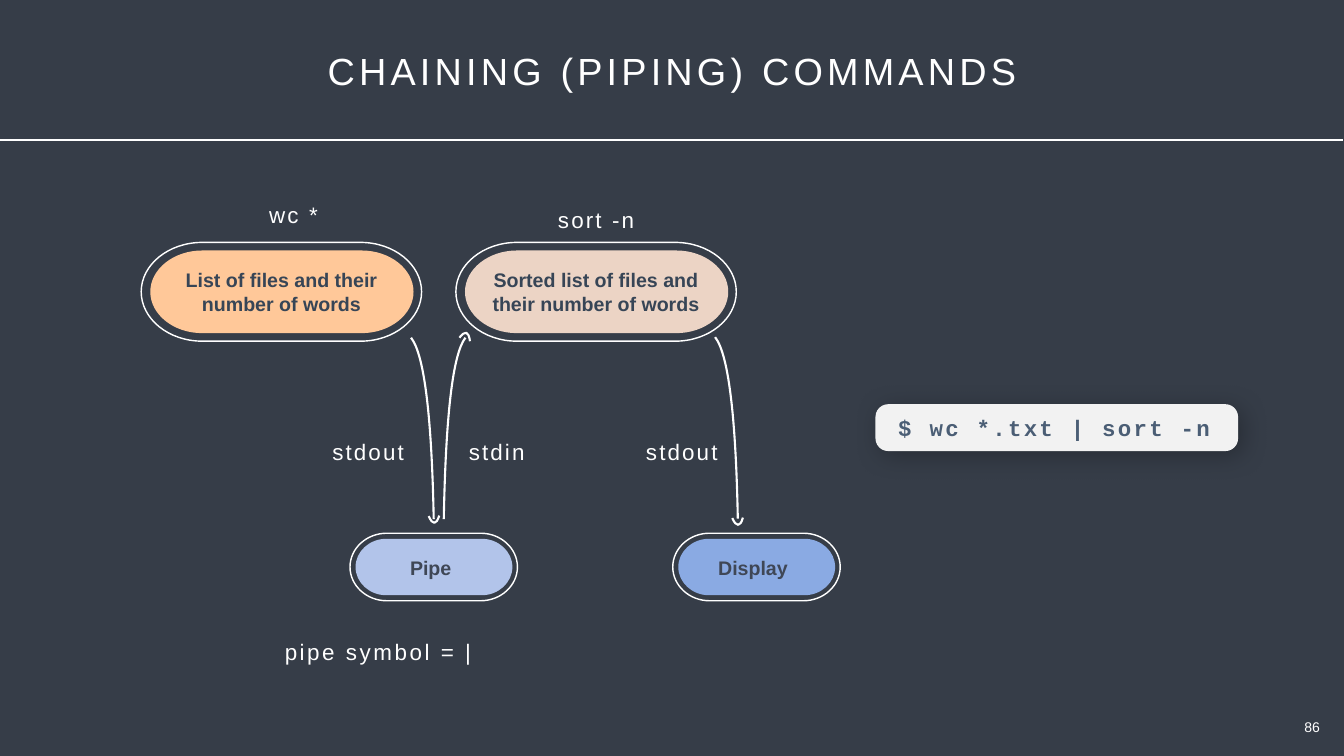
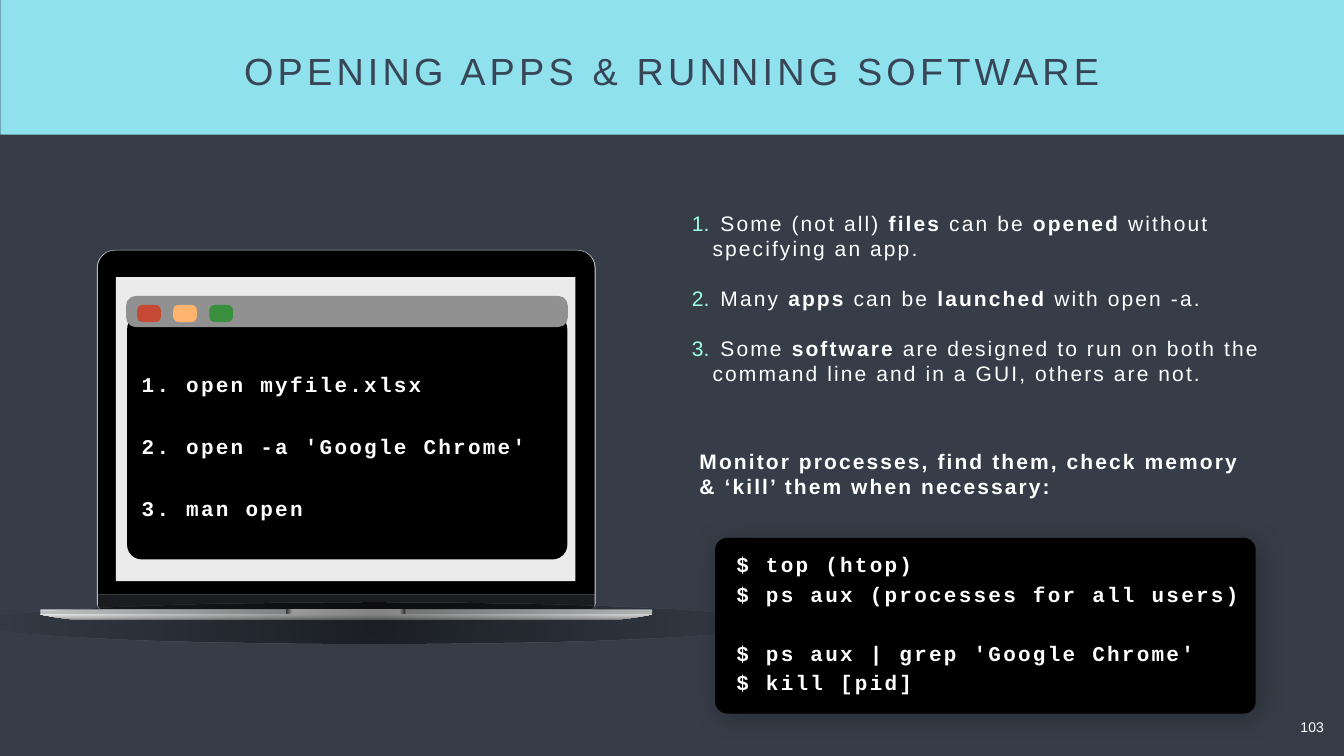
import pptx
import pptx.dml.color
import pptx.enum.shapes
import pptx.enum.text
import pptx.oxml
import pptx.oxml.ns
import pptx.util

Inches = pptx.util.Inches
Pt = pptx.util.Pt
SHAPE = pptx.enum.shapes.MSO_SHAPE
ALIGN = pptx.enum.text.PP_ALIGN
ANCHOR = pptx.enum.text.MSO_ANCHOR
qn = pptx.oxml.ns.qn
NAMESPACE = 'xmlns:a="http://schemas.openxmlformats.org/drawingml/2006/main"'

ARIAL, COURIER = "Arial", "Courier New"
BACKGROUND, WHITE, BLACK = "363D48", "FFFFFF", "000000"
NAVY, SLATE, CYAN, MINT, SILVER = "374556", "3F4756", "90E1EE", "9CFFE2", "D1D3D4"

TITLE_BOX = (1.54, 0.9, 23.58, 1)
NUMBER_BOX = (25.76, 14.16, 0.52, 0.53)

BIG_PILL = dict(outer=(0, 0, 5.56, 1.96, 1.21), inner=(0.18, 0.16, 5.22, 1.64, 1.03))
SMALL_PILL = dict(outer=(0, 0, 3.32, 1.34, 0.73), inner=(0.11, 0.11, 3.11, 1.12, 0.61))
PILLS = [
    (9.04, 4.81, BIG_PILL, "ECD4C5"),
    (2.8, 4.81, BIG_PILL, "FFC899"),
    (13.34, 10.58, SMALL_PILL, "8AAAE3"),
    (6.94, 10.58, SMALL_PILL, "B2C4EA"),
]
PILL_TEXTS = [
    ("List of files and their number of words", (3.43, 5.26, 4.3, 1.06), NAVY, ALIGN.CENTER),
    ("Sorted list of files and their number of words", (9.42, 5.26, 4.79, 1.06), NAVY, ALIGN.CENTER),
    ("Display", (14.18, 10.98, 1.78, 0.58), SLATE, ALIGN.LEFT),
    ("Pipe", (8.07, 10.98, 1.28, 0.58), SLATE, ALIGN.LEFT),
]
FLOW_LABELS = [
    ("wc *", (5.07, 3.9, 1.5, 0.66)),
    ("sort -n", (10.9, 4, 1.84, 0.66)),
    ("stdout", (6.43, 8.6, 1.74, 0.66)),
    ("stdin", (9, 8.6, 1.7, 0.66)),
    ("stdout", (12.65, 8.6, 1.74, 0.66)),
]
FLOW_CURVES = [
    [(8.15, 6.7), (8.41, 7.03), (8.56, 8.23), (8.6, 10.3)],
    [(8.5, 10.24), (8.58, 10.42), (8.65, 10.42), (8.71, 10.23)],
    [(9.23, 6.7), (8.98, 7.02), (8.84, 8.22), (8.8, 10.3)],
    [(9.32, 6.77), (9.29, 6.57), (9.23, 6.55), (9.11, 6.7)],
    [(14.18, 6.69), (14.44, 7.02), (14.59, 8.22), (14.63, 10.29)],
    [(14.52, 10.28), (14.6, 10.46), (14.68, 10.46), (14.73, 10.27)],
]

WINDOW_BUTTONS = ["C54935", "FFB46D", "398F3D"]
OPEN_COMMANDS = ["1. open myfile.xlsx", "2. open -a 'Google Chrome'", "3. man open"]
APP_NOTES = [
    (" Some (not all) ", "files", " can be ", "opened", " without specifying an app."),
    (" Many ", "apps", " can be ", "launched", " with open -a."),
    (" Some ", "software",
     " are designed to run on both the command line and in a GUI, others are not."),
]
MONITOR_NOTE = "Monitor processes, find them, check memory & ‘kill’ them when necessary:"
PROCESS_COMMANDS = [
    "$ top (htop)",
    "$ ps aux (processes for all users)",
    "$ ps aux | grep 'Google Chrome'",
    "$ kill [pid]",
]


def rgb(value):
    return pptx.dml.color.RGBColor.from_string(value)


def lengths(box):
    return [Inches(value) for value in box]


def paint(shape, fill=None, line=None, width=2):
    shape.shadow.inherit = False
    if fill:
        shape.fill.solid()
        shape.fill.fore_color.rgb = rgb(fill)
    else:
        shape.fill.background()
    if line:
        shape.line.color.rgb = rgb(line)
        shape.line.width = Pt(width)
    else:
        shape.line.fill.background()
    return shape


def add_block(parent, kind, box, fill, *adjustments):
    shape = parent.shapes.add_shape(kind, *lengths(box))
    for index, value in enumerate(adjustments):
        shape.adjustments[index] = value
    return paint(shape, fill)


def add_curve(parent, points, fill=None, line=None, width=2, close=False):
    corners = [tuple(lengths(point)) for point in points]
    builder = parent.shapes.build_freeform(*corners[0])
    builder.add_line_segments(corners[1:], close=close)
    shape = builder.convert_to_shape()
    segments = list(shape._element.iter(qn("a:lnTo")))
    for start in range(0, len(segments), 3):
        cubic = pptx.oxml.parse_xml(f"<a:cubicBezTo {NAMESPACE}/>")
        segments[start].addprevious(cubic)
        for segment in segments[start:start + 3]:
            cubic.append(segment[0])
            segment.getparent().remove(segment)
    return paint(shape, fill, line, width)


def set_gradient(shape, stops, direction):
    marks = "".join(
        f'<a:gs pos="{place * 1000}"><a:srgbClr val="{color}">'
        f'<a:alpha val="{alpha * 1000}"/></a:srgbClr></a:gs>'
        for place, color, alpha in stops)
    gradient = pptx.oxml.parse_xml(
        f"<a:gradFill {NAMESPACE}><a:gsLst>{marks}</a:gsLst>{direction}</a:gradFill>")
    shape.fill.background()
    blank = shape._element.spPr.find(qn("a:noFill"))
    blank.getparent().replace(blank, gradient)


def linear(angle):
    return f'<a:lin ang="{angle * 60000}" scaled="0"/>'


def add_soft_shadow(shape):
    effects = shape._element.spPr.find(qn("a:effectLst"))
    effects.append(pptx.oxml.parse_xml(
        f'<a:outerShdw {NAMESPACE} blurRad="{Pt(36)}" dist="{Pt(8)}" dir="2700000" '
        'algn="tl" rotWithShape="0"><a:srgbClr val="000000"><a:alpha val="26000"/>'
        '</a:srgbClr></a:outerShdw>'))


def write(shape, paragraphs, size, font=ARIAL, color=WHITE, bold=False, spacing=0,
          align=ALIGN.LEFT, leading=None, inset=0.05, anchor=ANCHOR.TOP, wrap=True):
    frame = shape.text_frame
    frame.word_wrap = wrap
    frame.auto_size = pptx.enum.text.MSO_AUTO_SIZE.NONE
    frame.vertical_anchor = anchor
    frame.margin_left = frame.margin_right = Inches(inset)
    frame.margin_top = frame.margin_bottom = Inches(inset)
    for number, texts in enumerate(paragraphs):
        para = frame.add_paragraph() if number else frame.paragraphs[0]
        para.alignment = align
        if leading:
            para.line_spacing = Pt(leading)
        for index, text in enumerate([texts] if isinstance(texts, str) else texts):
            span = para.add_run()
            span.text = text
            span.font.name = font
            span.font.size = Pt(size)
            span.font.bold = bold or index % 2 == 1
            span.font.color.rgb = rgb(color)
            span._r.get_or_add_rPr().set("spc", str(int(spacing * 100)))
    return frame


def add_text(parent, box, paragraphs, size, **style):
    return write(parent.shapes.add_textbox(*lengths(box)), paragraphs, size, **style)


def add_code(parent, box, lines, size=30, color=WHITE, **style):
    return add_text(parent, box, lines, size, font=COURIER, color=color, bold=True,
                    spacing=3.2, **style)


def finish_page(page, title, color, number):
    heading = page.shapes.title
    heading.left, heading.top, heading.width, heading.height = lengths(TITLE_BOX)
    write(heading, [title], 54, color=color, spacing=6, align=ALIGN.CENTER)
    page.shapes._spTree.append(heading._element)
    add_text(page, NUMBER_BOX, [number], 20, align=ALIGN.CENTER, inset=0.1, wrap=False)


def pill_points(left, top, width, height, radius):
    right, bottom, middle = left + width, top + height, top + height / 2
    near, far = left + radius, right - radius
    across, down = 0.55 * radius, 0.55 * height / 2
    return [
        (near, bottom), (near - across, bottom), (left, middle + down), (left, middle),
        (left, middle - down), (near - across, top), (near, top),
        (near, top), (far, top), (far, top),
        (far + across, top), (right, middle - down), (right, middle),
        (right, middle + down), (far + across, bottom), (far, bottom),
        (far, bottom), (near, bottom), (near, bottom),
    ]


def add_pill(page, left, top, size, fill):
    group = page.shapes.add_group_shape()
    for ring, look in (("outer", dict(line=WHITE)), ("inner", dict(fill=fill))):
        x, y, *extent = size[ring]
        add_curve(group, pill_points(left + x, top + y, *extent), close=True, **look)


def add_laptop(page):
    laptop = page.shapes.add_group_shape()
    add_block(laptop, SHAPE.ROUND_2_SAME_RECTANGLE, (1.92, 4.96, 9.89, 7.15), SILVER, 0.05, 0.02)
    add_block(laptop, SHAPE.ROUND_2_SAME_RECTANGLE, (1.94, 4.97, 9.85, 6.83), BLACK, 0.05, 0)
    add_block(laptop, SHAPE.ROUND_2_SAME_RECTANGLE, (1.94, 11.8, 9.85, 0.29), "1B1C20", 0, 0.3)
    add_block(laptop, SHAPE.RECTANGLE, (2.3, 5.5, 9.11, 6.03), "EBEBEB")
    for left in (0.8, 8.04):
        add_block(laptop, SHAPE.RECTANGLE, (left, 12.09, 4.89, 0.09), SILVER)
    base = add_curve(laptop, [
        (0.8, 12.19), (0.8, 12.19), (1.36, 12.31), (1.81, 12.31),
        (1.81, 12.31), (11.91, 12.31), (11.91, 12.31),
        (12.36, 12.31), (12.93, 12.19), (12.93, 12.19)], SILVER, close=True)
    set_gradient(base, [(0, "949494", 100), (50, "D5D5D5", 100), (100, WHITE, 100)], linear(270))
    notch = add_block(laptop, SHAPE.RECTANGLE, (5.68, 12.09, 2.36, 0.09), SILVER)
    set_gradient(notch, [(0, "4F4F51", 100), (5, WHITE, 100), (95, WHITE, 100),
                         (100, "4F4F51", 100)], linear(0))
    shade = add_block(laptop, SHAPE.OVAL, (-0.56, 11.95, 15.96, 0.81), BLACK)
    set_gradient(shade, [(0, BLACK, 50), (100, BLACK, 0)],
                 '<a:path path="circle"><a:fillToRect l="38000" t="-20000" r="38000" '
                 'b="-20000"/></a:path>')
    add_block(laptop, SHAPE.ROUNDED_RECTANGLE, (2.52, 6.24, 8.73, 4.86), BLACK, 0.06)
    add_block(laptop, SHAPE.ROUNDED_RECTANGLE, (2.5, 5.87, 8.76, 0.62), "919191", 0.31)
    for index, color in enumerate(WINDOW_BUTTONS):
        box = (2.72 + 0.715 * index, 6.05, 0.47, 0.34)
        add_block(laptop, SHAPE.ROUNDED_RECTANGLE, box, color, 0.31)
    for index, command in enumerate(OPEN_COMMANDS):
        add_code(laptop, (2.76, 7.32 + 1.23 * index, 8.08, 0.53), [command])


def build_piping(page):
    panel = add_block(page, SHAPE.ROUNDED_RECTANGLE, (17.36, 8.02, 7.19, 0.93), "F2F2F2", 0.27)
    add_soft_shadow(panel)
    add_code(page, (17.76, 8.16, 7.19, 0.64), ["$ wc *.txt | sort -n"], 32, "4B5E75")
    for pill in PILLS:
        add_pill(page, *pill)
    for text, box, color, align in PILL_TEXTS:
        add_text(page, box, [text], 28, color=color, bold=True, align=align,
                 inset=0.06, anchor=ANCHOR.MIDDLE)
    for text, box in FLOW_LABELS:
        add_text(page, box, [text], 32, spacing=3, align=ALIGN.CENTER, leading=42)
    add_text(page, (5.1, 12.57, 4.79, 0.67), ["pipe symbol = |"], 32, spacing=3.6,
             align=ALIGN.CENTER, leading=42)
    for points in FLOW_CURVES:
        add_curve(page, points, line=WHITE, width=3)
    rule = page.shapes.add_connector(pptx.enum.shapes.MSO_CONNECTOR.STRAIGHT,
                                     *lengths((0.01, 2.78, 26.64, 2.78)))
    rule.line.color.rgb = rgb(WHITE)
    rule.line.width = Pt(3)
    rule._element.spPr.append(pptx.oxml.parse_xml(f"<a:effectLst {NAMESPACE}/>"))
    finish_page(page, "CHAINING (PIPING) COMMANDS", WHITE, "86")


def build_apps(page):
    add_block(page, SHAPE.RECTANGLE, (0.01, -0.18, 26.65, 2.85), CYAN)
    add_laptop(page)
    notes = add_text(page, (13.67, 4.13, 12.33, 3.63), APP_NOTES, 30, spacing=3)
    for index, para in enumerate(notes.paragraphs):
        para.space_before = Pt(35 if index else 0)
        properties = para._p.get_or_add_pPr()
        properties.set("marL", str(Inches(0.41)))
        properties.set("indent", str(-Inches(0.41)))
        for mark in (f'<a:buClr {NAMESPACE}><a:srgbClr val="{MINT}"/></a:buClr>',
                     f'<a:buAutoNum {NAMESPACE} type="arabicPeriod"/>'):
            properties.append(pptx.oxml.parse_xml(mark))
    add_text(page, (13.82, 8.84, 11.29, 1.11), [MONITOR_NOTE], 30, bold=True, spacing=3)
    panel = add_block(page, SHAPE.ROUNDED_RECTANGLE, (14.18, 10.67, 10.72, 3.49), BLACK, 0.07)
    add_soft_shadow(panel)
    code = add_code(page, (14.55, 10.82, 10.18, 3.03), PROCESS_COMMANDS, leading=42, wrap=False)
    code.paragraphs[2].space_before = Pt(42)
    finish_page(page, "OPENING APPS & RUNNING SOFTWARE", NAVY, "103")


def main():
    deck = pptx.Presentation()
    deck.slide_width, deck.slide_height = Inches(26.65), Inches(15)
    backdrop = deck.slide_master.background.fill
    backdrop.solid()
    backdrop.fore_color.rgb = rgb(BACKGROUND)
    for build in (build_piping, build_apps):
        build(deck.slides.add_slide(deck.slide_layouts[5]))
    deck.save("out.pptx")


if __name__ == "__main__":
    main()
